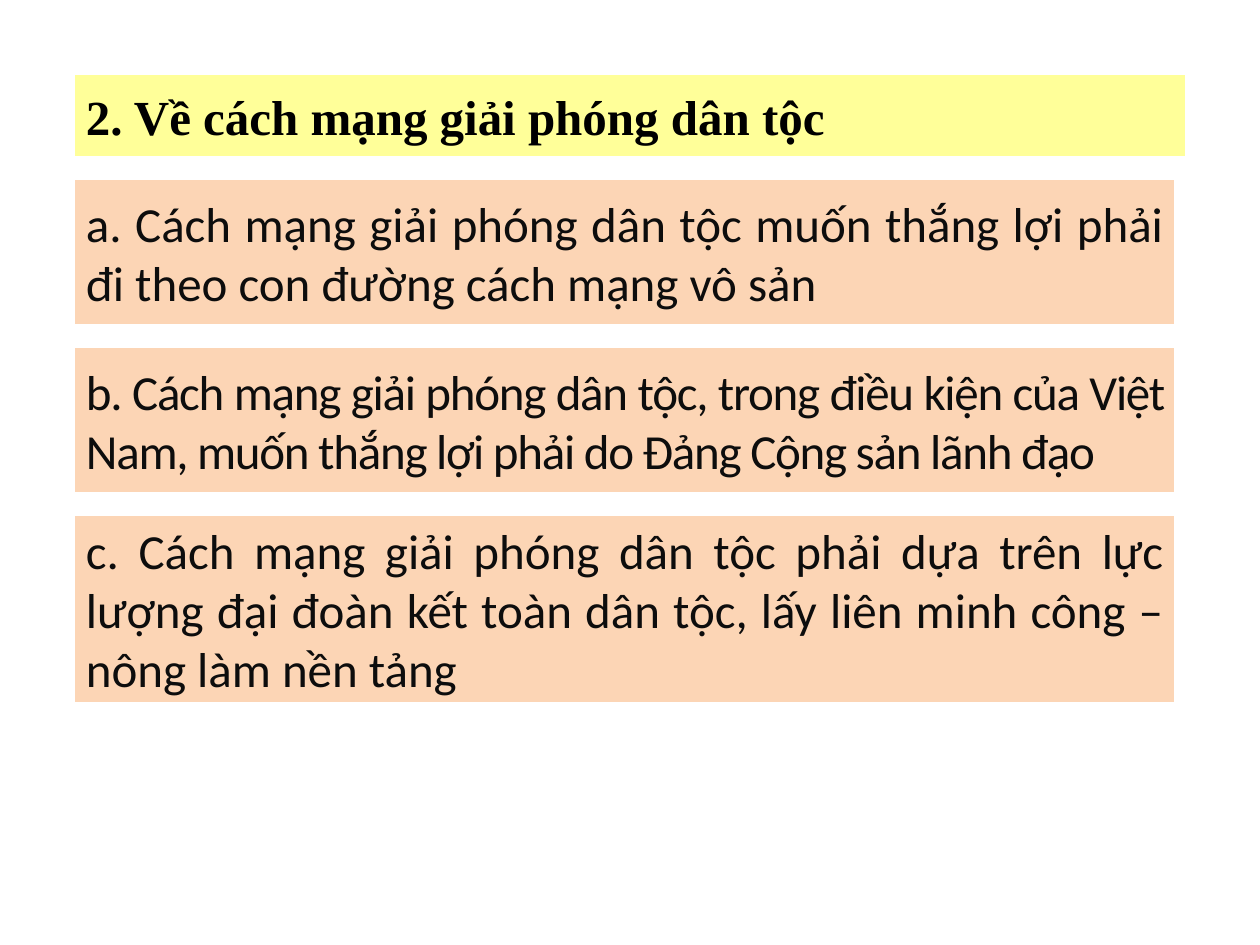
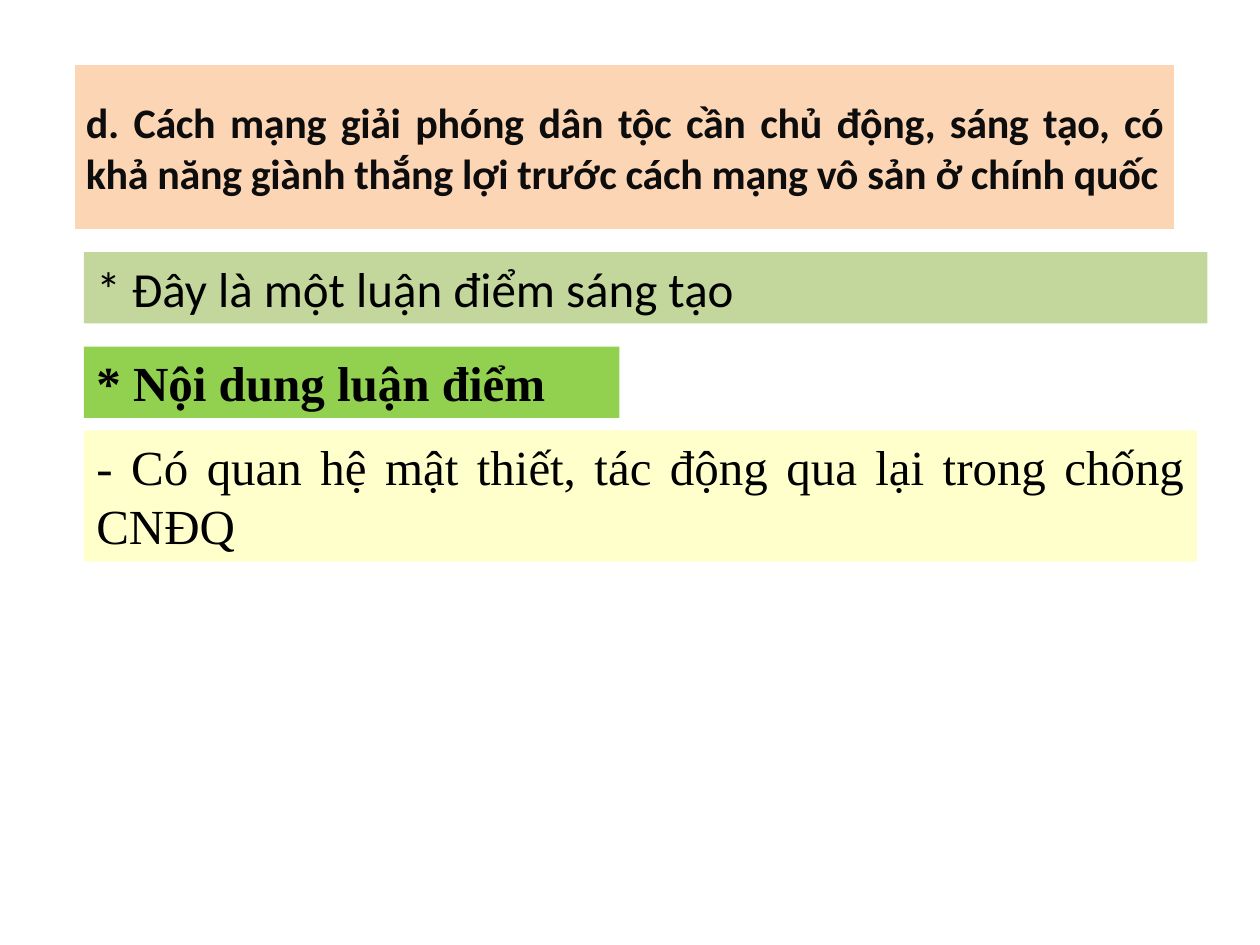
from dataclasses import dataclass

from pptx import Presentation
from pptx.dml.color import RGBColor
from pptx.enum.shapes import MSO_SHAPE
from pptx.enum.text import MSO_ANCHOR, MSO_AUTO_SIZE, PP_ALIGN
from pptx.util import Pt

RECTANGLE = MSO_SHAPE.RECTANGLE
MIDDLE, TOP = MSO_ANCHOR.MIDDLE, MSO_ANCHOR.TOP
LEFT, JUSTIFY = PP_ALIGN.LEFT, PP_ALIGN.JUSTIFY
GROW = MSO_AUTO_SIZE.SHAPE_TO_FIT_TEXT
PX = 7620  # EMU per px, 120 px to the inch


@dataclass(frozen=True)
class Theme:
    white: str = "FFFFFF"
    black: str = "000000"
    ink: str = "0D0D0D"
    peach: str = "FCD5B5"
    yellow: str = "FFFF99"
    cream: str = "FFFFCC"
    sage: str = "C3D69B"
    green: str = "92D050"
    sans: str = "Calibri"
    serif: str = "Times New Roman"
    body_size: int = 28
    small_size: int = 24
    border: int = 2


theme = Theme()


def add_band(page, left, top, width, height, fill, text, font=theme.sans,
             color=theme.black, size=theme.body_size, bold=False, align=JUSTIFY):
    """Add a filled band with one paragraph of text."""
    band = page.shapes.add_shape(RECTANGLE, left * PX, top * PX, width * PX, height * PX)
    band.shadow.inherit = False
    band.fill.solid()
    band.fill.fore_color.rgb = RGBColor.from_string(fill)
    band.line.fill.background()
    frame = band.text_frame
    frame.word_wrap = True
    frame.vertical_anchor = TOP
    frame.text = text
    para = frame.paragraphs[0]
    para.alignment = align
    span = para.runs[0]
    span.font.name = font
    span.font.size = Pt(size)
    span.font.bold = bold
    span.font.color.rgb = RGBColor.from_string(color)
    return band


def add_heading(page, top, width, height, fill, text, spacing=0, **style):
    """Add a white-bordered band with centred height and optional letter spacing."""
    band = add_band(page, 70, top, width, height, fill, text, **style)
    band.line.color.rgb = RGBColor.from_string(theme.white)
    band.line.width = Pt(theme.border)
    band.text_frame.vertical_anchor = MIDDLE
    if spacing:
        span = band.text_frame.paragraphs[0].runs[0]
        span.font._element.set("spc", str(spacing))


deck = Presentation()
deck.slide_width, deck.slide_height = 1200 * PX, 900 * PX
blank = deck.slide_layouts[6]
gap = 20

# Slide 1: title and three points, stacked with equal gaps
page = deck.slides.add_slide(blank)
add_heading(page, 70, 1060, 80, theme.yellow, "2. Về cách mạng giải phóng dân tộc",
            font=theme.serif, bold=True)
points = [
    (140, 0, "a. Cách mạng giải phóng dân tộc muốn thắng lợi phải đi theo con đường "
             "cách mạng vô sản"),
    (140, -70, "b. Cách mạng giải phóng dân tộc, trong điều kiện của Việt Nam, muốn "
               "thắng lợi phải do Đảng Cộng sản lãnh đạo "),
    (180, 0, "c. Cách mạng giải phóng dân tộc phải dựa trên lực lượng đại đoàn kết "
             "toàn dân tộc, lấy liên minh công – nông làm nền tảng"),
]
top = 150 + gap
for height, spacing, text in points:
    add_heading(page, top, 1050, height, theme.peach, text, spacing, color=theme.ink)
    top += height + gap

# Slide 2: fourth point
page = deck.slides.add_slide(blank)
add_heading(page, 60, 1050, 160, theme.peach,
            "d. Cách mạng giải phóng dân tộc cần chủ động, sáng tạo, có khả năng "
            "giành thắng lợi trước cách mạng vô sản ở chính quốc",
            -20, color=theme.ink, size=theme.small_size, bold=True)

# Slide 2: notes on the point
remarks = [
    (240, 1070, 68, theme.sage, "* Đây là một luận điểm sáng tạo", theme.sans, False, LEFT),
    (330, 510, 68, theme.green, "* Nội dung luận điểm", theme.serif, True, LEFT),
    (410, 1060, 125, theme.cream,
     "- Có quan hệ mật thiết, tác động qua lại trong chống CNĐQ", theme.serif, False, JUSTIFY),
]
for top, width, height, fill, text, font, bold, align in remarks:
    remark = add_band(page, 80, top, width, height, fill, text,
                      font=font, bold=bold, align=align)
    remark.text_frame.auto_size = GROW

deck.save("out.pptx")
